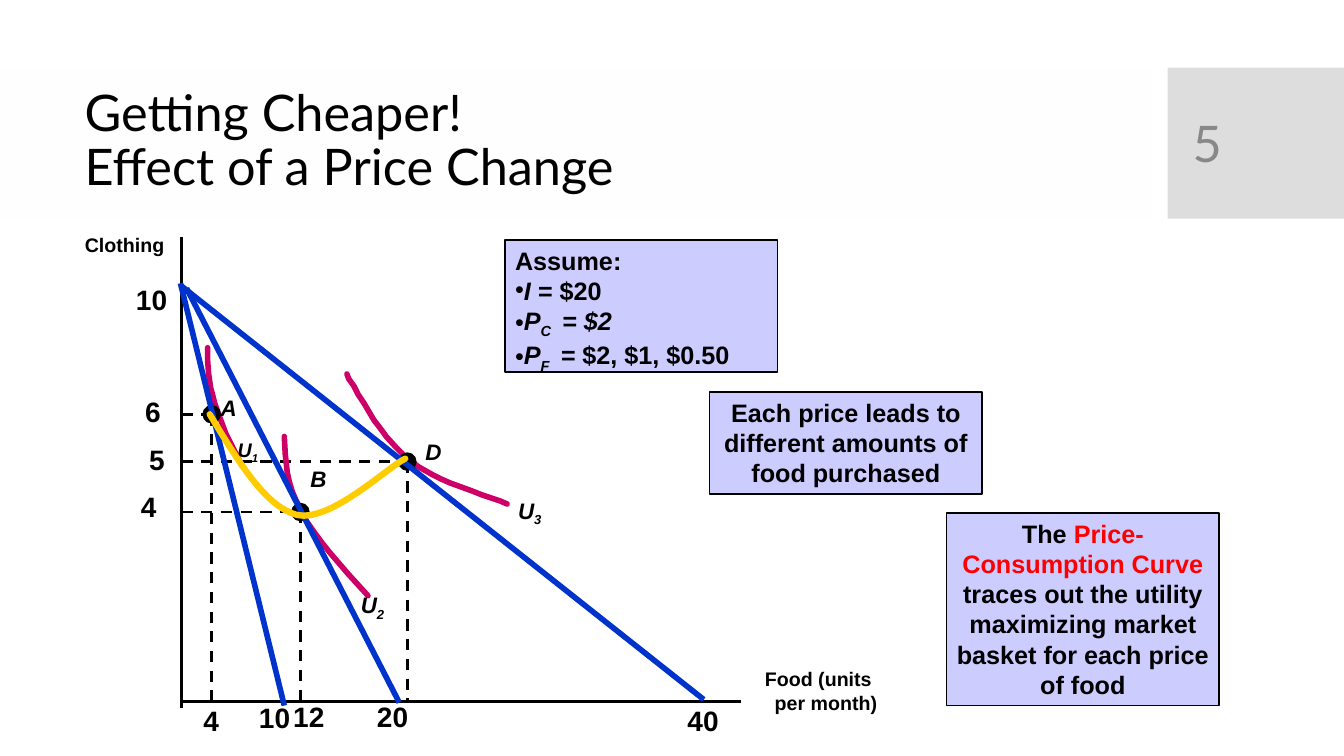
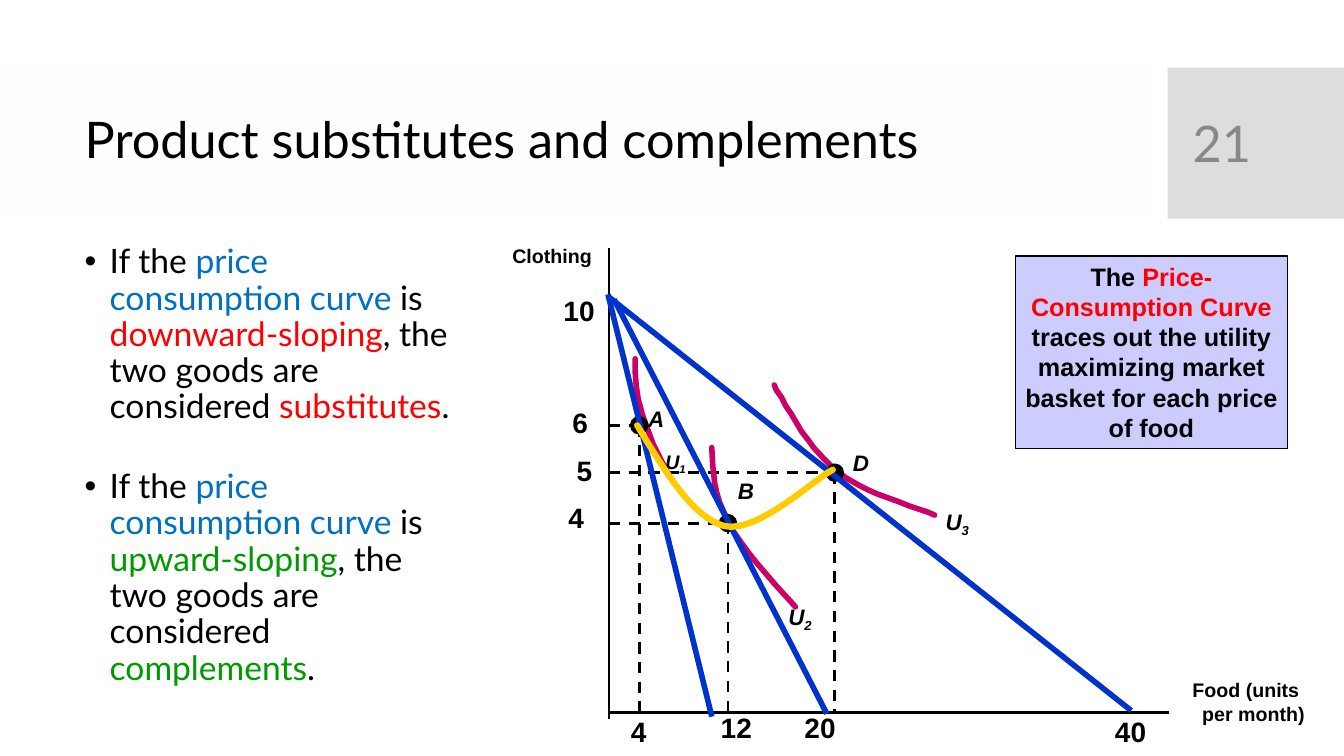
from lxml import etree
from pptx import Presentation
from pptx.dml.color import RGBColor
from pptx.enum.dml import MSO_LINE
from pptx.enum.shapes import MSO_CONNECTOR, MSO_SHAPE
from pptx.enum.text import MSO_ANCHOR, MSO_AUTO_SIZE, PP_ALIGN
from pptx.oxml.ns import qn
from pptx.util import Inches, Pt

RECTANGLE, OVAL = MSO_SHAPE.RECTANGLE, MSO_SHAPE.OVAL
STRAIGHT, DASH = MSO_CONNECTOR.STRAIGHT, MSO_LINE.DASH
LEFT, CENTER, RIGHT = PP_ALIGN.LEFT, PP_ALIGN.CENTER, PP_ALIGN.RIGHT
TOP, MIDDLE = MSO_ANCHOR.TOP, MSO_ANCHOR.MIDDLE

BLACK, RED, GREEN, SKY = "000000", "FF0000", "009900", "0070C0"
TITLE_BAND, NUMBER_BAND, NUMBER_GREY = "FEFEFE", "DDDDDD", "888888"
CALLOUT, BUDGET, INDIFFERENCE, PRICE = "CCCCFF", "0033CC", "CC0066", "FFCC00"

# The slide is a grid of one-inch cells; boxes are (column, row, columns, rows)
CELL = Inches(1)
COLUMNS, ROWS = 13.33, 7.5
TITLE_BOX = (0.74, 0.82, 10.51, 1.18)
NUMBER_BOX = (11.73, 0.82, 1.26, 1.19)
BANDS = [((0, 0.67, 11.41, 1.5), TITLE_BAND),
         ((11.58, 0.67, 1.75, 1.5), NUMBER_BAND)]

HEADING = {"font": "Lato", "size": 36}
BODY = {"font": "Lato", "size": 24}
NOTE = {"font": "Arial", "size": 18, "bold": True}
TICK = {**NOTE, "size": 20}
POINT = {**NOTE, "size": 16, "italic": True}
AXIS = {**NOTE, "size": 14}
ITALIC, SUB = {"italic": True}, {"italic": True, "baseline": -25}

# Diagram data: columns right of and rows above the corner of the axes.
# Each basket: name, point, curve number, label places, curve label size, budget line, curve
BASKETS = [
    ("D", (2.24, 2.38), "3", (2.32, 2.66), (3.24, 2.08), 16,
     [(-0.01, 4.13), (5.18, 0.02)],
     [(1.64, 3.25), (1.66, 3.2), (1.71, 3.13), (1.75, 3.05), (1.81, 2.96),
      (1.91, 2.79), (1.98, 2.7), (2.03, 2.63), (2.13, 2.52), (2.23, 2.42),
      (2.35, 2.33), (2.49, 2.25), (2.57, 2.21), (2.66, 2.17), (2.88, 2.09),
      (2.98, 2.05), (3.07, 2.02), (3.16, 1.99), (3.23, 1.96)]),
    ("B", (1.18, 1.88), "2", (1.18, 2.39), (1.68, 1.14), 16,
     [(0.05, 4.1), (2.16, -0.01)],
     [(1.02, 2.63), (1.03, 2.45), (1.05, 2.27), (1.07, 2.18), (1.1, 2.08),
      (1.14, 1.99), (1.19, 1.89), (1.24, 1.79), (1.31, 1.69), (1.39, 1.58),
      (1.47, 1.48), (1.65, 1.27), (1.85, 1.05)]),
    ("A", (0.3, 2.85), "1", (0.29, 3.1), (0.46, 2.66), 14,
     [(-0.01, 4.15), (1.02, -0.04)],
     [(0.26, 3.51), (0.26, 3.38), (0.27, 3.25), (0.29, 3.11), (0.31, 3.04),
      (0.33, 2.96), (0.38, 2.82), (0.44, 2.66), (0.52, 2.5), (0.6, 2.34)]),
]
TICKS = [("10", -0.55, 4.21), ("6", -0.46, 3.1), ("5", -0.42, 2.62), ("4", -0.5, 2.15),
         ("4", 0.12, 0.03), ("12", 1.01, 0.07), ("20", 1.84, 0.07), ("40", 4.92, 0.03)]
PRICE_CURVE = [[(0.28, 2.85), (0.56, 2.39), (0.83, 1.93), (1.15, 1.85)],
               [(1.15, 1.85), (1.48, 1.78), (2.04, 2.32), (2.22, 2.41)]]
CURVE_STEPS = 16
DOT = 0.17

CURVE_NOTE = [[("The ", {}), ("Price-Consumption Curve ", {"color": RED}),
               ("traces out the utility maximizing market basket for each price of food", {})]]


def paint(color):
    return RGBColor.from_string(color)


def place(box):
    return [round(CELL * length) for length in box]


def add_run(para, text, font, size, color=BLACK, bold=False, italic=False, baseline=0):
    span = para.add_run()
    span.text = text
    span.font.name, span.font.size = font, Pt(size)
    span.font.bold, span.font.italic = bold, italic
    span.font.color.rgb = paint(color)
    if baseline:
        span.font._element.set("baseline", str(baseline * 1000))


def add_bullet(para, margin, indent):
    properties = para._p.get_or_add_pPr()
    properties.set("marL", str(round(CELL * margin)))
    properties.set("indent", str(round(CELL * indent)))
    etree.SubElement(properties, qn("a:buFont"), typeface="Arial")
    etree.SubElement(properties, qn("a:buChar"), char="•")


def write(frame, paragraphs, style, align=LEFT, anchor=TOP, wrap=True, spacing=None):
    """Fill a text frame with paragraphs, each a list of (text, changes) runs."""
    frame.word_wrap, frame.vertical_anchor = wrap, anchor
    frame.auto_size = MSO_AUTO_SIZE.NONE
    for index, runs in enumerate(paragraphs):
        para = frame.add_paragraph() if index else frame.paragraphs[0]
        para.alignment = align
        if spacing:
            para.line_spacing = spacing
        for text, changes in runs:
            add_run(para, text, **{**style, **changes})


def add_text(page, box, paragraphs, style, **layout):
    frame = page.shapes.add_textbox(*place(box)).text_frame
    write(frame, paragraphs, style, **layout)
    return frame


def add_block(page, kind, box, fill, outline=None):
    block = page.shapes.add_shape(kind, *place(box))
    block.shadow.inherit = False
    block.fill.solid()
    block.fill.fore_color.rgb = paint(fill)
    if outline:
        block.line.color.rgb = paint(outline)
        block.line.width = Pt(1)
    else:
        block.line.fill.background()
    return block


def add_line(page, start, end, color=BLACK, width=2, dash=None):
    line = page.shapes.add_connector(STRAIGHT, *place(start + end))
    line.line.color.rgb = paint(color)
    line.line.width = Pt(width)
    if dash:
        line.line.dash_style = dash
    etree.SubElement(line._element.spPr, qn("a:effectLst"))


def add_curve(page, points, color, width):
    # The builder keeps whole numbers only, so points go in at full resolution
    start, *others = [tuple(place(point)) for point in points]
    builder = page.shapes.build_freeform(*start)
    builder.add_line_segments(others, close=False)
    curve = builder.convert_to_shape()
    curve.shadow.inherit = False
    curve.fill.background()
    curve.line.color.rgb = paint(color)
    curve.line.width = Pt(width)
    outline = curve.line._get_or_add_ln()
    outline.set("cap", "rnd")
    etree.SubElement(outline, qn("a:round"))


def bezier(start, first, second, end):
    """Points along one cubic curve."""
    points = []
    for step in range(CURVE_STEPS + 1):
        t = step / CURVE_STEPS
        weights = ((1 - t) ** 3, 3 * t * (1 - t) ** 2, 3 * t * t * (1 - t), t ** 3)
        points.append(tuple(sum(w * p[axis] for w, p in zip(weights, (start, first, second, end)))
                            for axis in (0, 1)))
    return points


def add_callout(page, box, paragraphs, align=CENTER):
    frame = add_block(page, RECTANGLE, box, CALLOUT, BLACK).text_frame
    write(frame, paragraphs, NOTE, align=align)
    return frame


def add_diagram(page, corner, extra_ticks=()):
    """Draw the price-consumption diagram around the corner of its axes."""
    def at(point):
        return (corner[0] + point[0], corner[1] - point[1])

    def label(point, size, paragraphs, style, align=LEFT):
        add_text(page, at(point) + size, paragraphs, style, align=align, wrap=False)

    # Axes and their names
    add_line(page, at((0, 0)), at((5.55, 0)))
    add_line(page, at((0, -0.06)), at((0, 4.61)))
    label((-1.06, 4.7), (0.99, 0.33), [[("Clothing", {})]], AXIS, RIGHT)
    label((5.68, 0.39), (1.32, 0.57), [[("Food (units ", {})], [("per month)", {})]], AXIS, RIGHT)

    # Baskets: indifference curve, guides, dot, budget line and labels
    for name, point, number, name_at, curve_at, size, budget, curve in BASKETS:
        x, y = point
        add_curve(page, [at(p) for p in curve], INDIFFERENCE, 4)
        add_line(page, at((0, y)), at(point), dash=DASH)
        add_line(page, at(point), at((x, 0)), dash=DASH)
        add_block(page, OVAL, at((x - DOT / 2, y + DOT / 2)) + (DOT, DOT), BLACK, BLACK)
        add_line(page, at(budget[0]), at(budget[1]), BUDGET, 4)
        label(name_at, (0.36, 0.37), [[(name, {})]], POINT)
        label(curve_at, (0.44, 0.36), [[("U", {}), (number, SUB)]], {**POINT, "size": size})

    # Axis values
    for text, x, y in [*TICKS, *extra_ticks]:
        label((x, y), (0.21 + 0.15 * len(text), 0.43), [[(text, {})]], TICK)

    # Price-consumption curve
    first, second = (bezier(*part) for part in PRICE_CURVE)
    add_curve(page, [at(p) for p in first + second[1:]], PRICE, 4.5)


def add_bands(page, layout):
    """Place the shared bands at the back of the layout."""
    for box, color in BANDS:
        band = add_block(page, RECTANGLE, box, color)
        layout.shapes._spTree.insert(2, band._element)


def start_page(deck, layout, title_lines, number):
    page = deck.slides.add_slide(layout)
    title = page.shapes.title
    title.left, title.top, title.width, title.height = place(TITLE_BOX)
    write(title.text_frame, [[]], HEADING, anchor=MIDDLE, spacing=0.9)
    para = title.text_frame.paragraphs[0]
    for index, line in enumerate(title_lines):
        if index:
            para.add_line_break()
        add_run(para, line, **HEADING)
    add_text(page, NUMBER_BOX, [[(number, {"color": NUMBER_GREY})]], HEADING, anchor=MIDDLE)
    return page


def build_price_change(deck, layout):
    page = start_page(deck, layout, ["Getting Cheaper!", "Effect of a Price Change"], "5")
    add_bands(page, layout)
    add_diagram(page, (1.8, 6.96), [("10", 0.67, 0.06)])

    # Callouts step down to the right
    assume = add_callout(page, (5.01, 2.38, 2.7, 1.31), [
        [("Assume:", {})],
        [("I = ", ITALIC), ("$20", {})],
        [("P", ITALIC), ("C ", SUB), (" = $2", ITALIC)],
        [("P", ITALIC), ("F ", SUB), (" = ", ITALIC), ("$2, $1, $0.50", {})],
    ], LEFT)
    for para in assume.paragraphs[1:]:
        add_bullet(para, 0, -0.12)
    add_callout(page, (7.04, 3.89, 2.7, 1.01),
                [[("Each price leads to different amounts of food purchased", {})]])
    add_callout(page, (9.39, 5.09, 2.7, 1.91), CURVE_NOTE)


def build_substitutes(deck, layout):
    page = start_page(deck, layout, ["Product substitutes and complements"], "21")

    # Two rules about the slope of the curve
    rules = [("downward-sloping", "substitutes", RED), ("upward-sloping", "complements", GREEN)]
    body = add_text(page, (0.74, 2.38, 3.96, 4.63), [
        [("If the ", {}), ("price consumption curve ", {"color": SKY}), ("is ", {}),
         (slope, {"color": color}), (", the two goods are considered ", {}),
         (kind, {"color": color}), (".", {})]
        for slope, kind, color in rules], BODY, spacing=0.9)
    for para in body.paragraphs:
        add_bullet(para, 0.25, -0.25)
    body.paragraphs[1].space_before = Pt(31)

    add_diagram(page, (6.04, 7.07))
    add_callout(page, (10.07, 2.54, 2.7, 1.91), CURVE_NOTE)


def main():
    deck = Presentation()
    deck.slide_width, deck.slide_height = place((COLUMNS, ROWS))
    layout = deck.slide_layouts[5]
    build_price_change(deck, layout)
    build_substitutes(deck, layout)
    deck.save("out.pptx")


if __name__ == "__main__":
    main()
